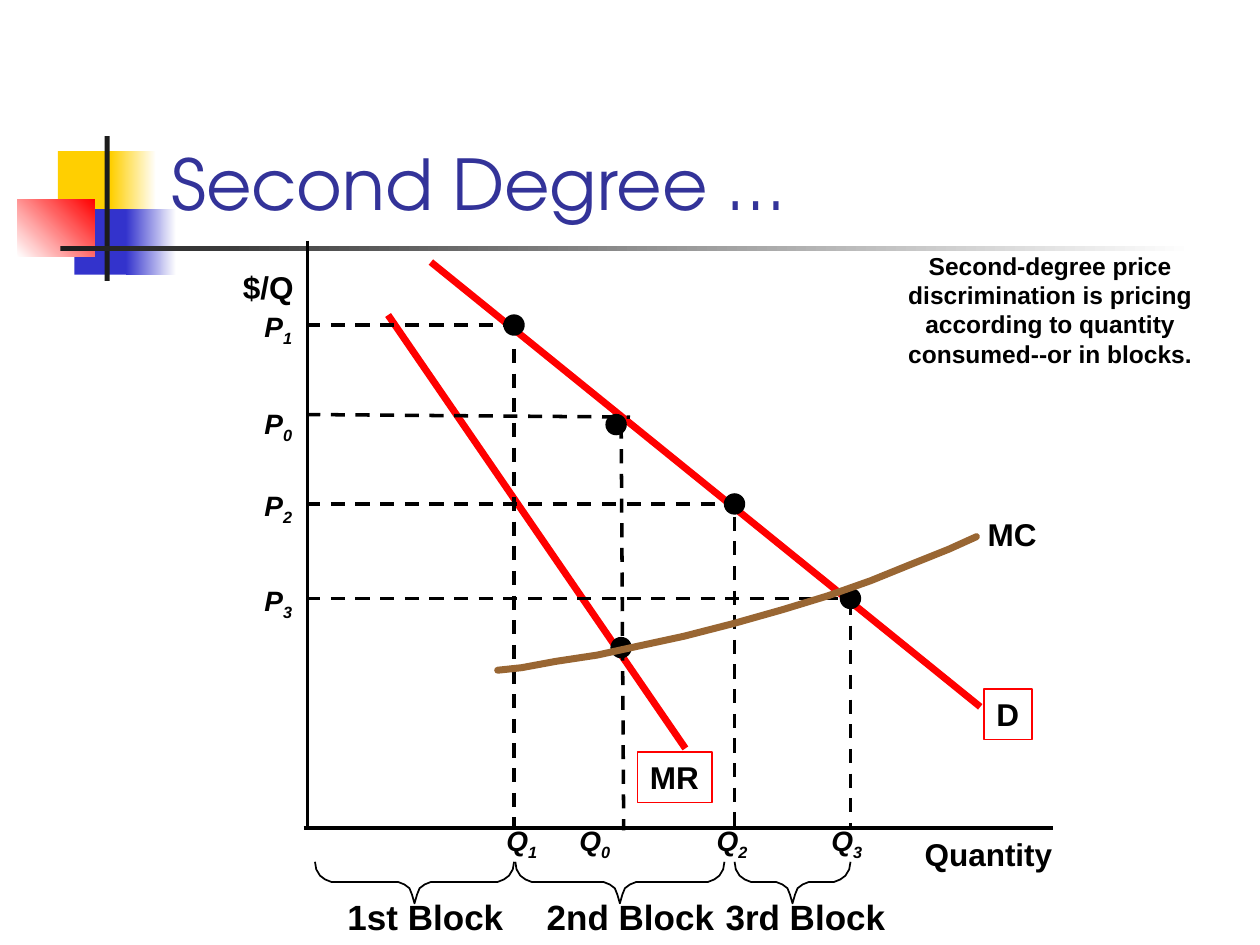
import pptx
import pptx.util
import pptx.dml.color
import pptx.enum.dml
import pptx.enum.shapes
import pptx.enum.text
import pptx.oxml
import pptx.oxml.ns

Inches, Pt = pptx.util.Inches, pptx.util.Pt
RGBColor = pptx.dml.color.RGBColor
SHAPE = pptx.enum.shapes.MSO_SHAPE
ALIGN = pptx.enum.text.PP_ALIGN
qn = pptx.oxml.ns.qn

BLACK = RGBColor(0x00, 0x00, 0x00)
WHITE = RGBColor(0xFF, 0xFF, 0xFF)
RED = RGBColor(0xFF, 0x00, 0x00)
BROWN = RGBColor(0x99, 0x66, 0x33)
YELLOW = RGBColor(0xFF, 0xCF, 0x01)
BLUE = RGBColor(0x33, 0x33, 0xCC)
DARK = RGBColor(0x1C, 0x1C, 0x1C)
TITLE_BLUE = RGBColor(0x33, 0x33, 0x99)

# Content, all lengths in inches
TITLE = "Second Degree …"
NOTE = ["Second-degree price", "discrimination is pricing",
        "according to quantity", "consumed--or in blocks."]
# left, top, width, height, start colour, end colour, gradient angle
DECORATION = [
    (0.46, 1.2, 0.48, 0.52, YELLOW, None, 0),
    (0.88, 1.2, 0.36, 0.52, YELLOW, WHITE, 0),
    (0.59, 1.66, 0.46, 0.52, BLUE, None, 0),
    (1, 1.66, 0.4, 0.52, BLUE, WHITE, 0),
    (0.14, 1.58, 0.61, 0.46, WHITE, RED, 45),
    (0.83, 1.08, 0.04, 1.15, DARK, None, 0),
    (0.48, 1.95, 9, 0.04, DARK, WHITE, 0),
]
AXES = [(2.44, 1.91, 2.44, 6.58), (2.41, 6.57, 8.36, 6.57)]
CURVES = [(3.42, 2.08, 7.78, 5.61), (3.08, 2.5, 5.44, 5.94)]
GUIDES = [
    (2.43, 2.58, 4.15, 2.58), (4.08, 2.77, 4.08, 6.57),
    (2.43, 3.29, 5, 3.31), (4.93, 3.37, 4.95, 6.59),
    (2.43, 4, 5.82, 4), (5.83, 4.1, 5.83, 6.57),
    (2.43, 4.75, 6.65, 4.75), (6.75, 4.77, 6.75, 6.57),
]
DOT_SIZE = 0.17
DOT_CENTRES = [(4.08, 2.58), (4.89, 3.37), (5.83, 4), (6.75, 4.75), (4.93, 5.14)]
PRICE_TOPS = {"1": 2.41, "0": 3.18, "2": 3.83, "3": 4.58}
QUANTITY_LEFTS = {"1": 3.92, "0": 4.5, "2": 5.59, "3": 6.5}
# text, left, top, width
CURVE_LABELS = [("D", 7.81, 5.47, 0.38), ("MR", 5.06, 5.97, 0.59)]
PLAIN_LABELS = [("Quantity", 7.24, 6.58, 1.26), ("$/Q", 1.83, 2.08, 0.62),
                ("MC", 7.74, 4.04, 0.61)]
# text, text left, text width, brace left, brace right
BLOCKS = [("1st Block", 2.66, 1.46, 2.5, 4.08),
          ("2nd Block", 4.24, 1.55, 4.09, 5.75),
          ("3rd Block", 5.66, 1.49, 5.83, 6.75)]
BRACE_TOP = 6.82
BRACE_END = [(0, 0.02), (0.01, 0.08), (0.04, 0.13), (0.08, 0.16), (0.13, 0.18)]
BRACE_TIP = [(-0.13, 0.18), (-0.08, 0.2), (-0.04, 0.23), (-0.02, 0.28), (0, 0.35)]
MC_CURVE = [(3.95, 5.32), (4.14, 5.3), (4.41, 5.25), (4.74, 5.2), (5.06, 5.13),
            (5.43, 5.05), (5.82, 4.95), (6.21, 4.84), (6.57, 4.73), (6.91, 4.61),
            (7.23, 4.48), (7.53, 4.36), (7.75, 4.26)]

deck = pptx.Presentation()
deck.slide_width, deck.slide_height = Inches(10), Inches(7.5)
page = deck.slides.add_slide(deck.slide_layouts[5])


def add_block(kind, left, top, width, height, colour, end_colour=None, angle=0):
    shape = page.shapes.add_shape(kind, *map(Inches, (left, top, width, height)))
    shape.shadow.inherit = False
    shape.line.fill.background()
    if end_colour is None:
        shape.fill.solid()
        shape.fill.fore_color.rgb = colour
    else:
        shape.fill.gradient()
        shape.fill.gradient_angle = angle
        for stop, stop_colour in zip(shape.fill.gradient_stops, (colour, end_colour)):
            stop.color.rgb = stop_colour


def add_line(ends, colour, width, dashed=False):
    line = page.shapes.add_connector(pptx.enum.shapes.MSO_CONNECTOR.STRAIGHT,
                                     *map(Inches, ends))
    line.line.color.rgb = colour
    line.line.width = Pt(width)
    if dashed:
        line.line.dash_style = pptx.enum.dml.MSO_LINE.DASH
    line.element.find(qn("p:spPr")).append(pptx.oxml.parse_xml(
        "<a:effectLst %s/>" % pptx.oxml.ns.nsdecls("a")))


def add_outline(points, colour, width):
    points = [(Inches(x), Inches(y)) for x, y in points]
    builder = page.shapes.build_freeform(*points[0])
    builder.add_line_segments(points[1:], close=False)
    shape = builder.convert_to_shape()
    shape.shadow.inherit = False
    shape.fill.background()
    shape.line.color.rgb = colour
    shape.line.width = Pt(width)
    return shape


def add_label(lines, left, top, width, height=0.4, size=18, italic=False,
              wrap=False, align=ALIGN.LEFT):
    box = page.shapes.add_textbox(*map(Inches, (left, top, width, height)))
    frame = box.text_frame
    frame.word_wrap = wrap
    frame.auto_size = pptx.enum.text.MSO_AUTO_SIZE.SHAPE_TO_FIT_TEXT
    for index, text in enumerate(lines):
        para = frame.add_paragraph() if index else frame.paragraphs[0]
        para.alignment = align
        para.font.name = "Arial"
        para.font.size = Pt(size)
        para.font.bold = True
        para.font.italic = italic
        para.font.color.rgb = BLACK
        para.add_run().text = text
    return box


def add_symbol(letter, digit, left, top):
    box = add_label([letter], left, top, 0.5, size=16, italic=True)
    box.text_frame.paragraphs[0].add_run().text = digit
    subscript = box.element.findall(".//" + qn("a:r"))[-1]
    subscript.get_or_add_rPr().set("baseline", "-25000")


# Background decoration
for left, top, width, height, colour, end_colour, angle in DECORATION:
    add_block(SHAPE.RECTANGLE, left, top, width, height, colour, end_colour, angle)

# Axes, demand and marginal revenue, dashed guides
for ends in AXES:
    add_line(ends, BLACK, 2)
for ends in CURVES:
    add_line(ends, RED, 4)
for ends in GUIDES:
    add_line(ends, BLACK, 2, dashed=True)
for x, y in DOT_CENTRES:
    add_block(SHAPE.OVAL, x - DOT_SIZE / 2, y - DOT_SIZE / 2, DOT_SIZE, DOT_SIZE, BLACK)

# Marginal cost, with round ends
marginal_cost = add_outline(MC_CURVE, BROWN, 4)
marginal_cost.element.find(".//" + qn("a:ln")).set("cap", "rnd")

# Labels
for text, left, top, width in PLAIN_LABELS:
    add_label([text], left, top, width)
for text, left, top, width in CURVE_LABELS:
    box = add_label([text], left, top, width)
    box.line.color.rgb = RED
    box.line.width = Pt(1)
for digit, top in PRICE_TOPS.items():
    add_symbol("P", digit, 2, top)
for digit, left in QUANTITY_LEFTS.items():
    add_symbol("Q", digit, left, 6.49)
add_label(NOTE, 7.08, 1.94, 2.51, 1.04, size=14, wrap=True, align=ALIGN.CENTER)

# Braces under the quantity axis
for text, left, width, start, end in BLOCKS:
    middle = (start + end) / 2
    half = [(start + x, BRACE_TOP + y) for x, y in BRACE_END]
    half += [(middle + x, BRACE_TOP + y) for x, y in BRACE_TIP]
    mirrored = [(start + end - x, y) for x, y in reversed(half[:-1])]
    add_outline(half + mirrored, BLACK, 1)
    add_label([text], left, 7.06, width, 0.43, size=20)

# Title, in front of the decoration
title = page.shapes.title
title.left, title.top, title.width, title.height = map(Inches, (1.26, 0.23, 8.52, 1.6))
title.text_frame.text = TITLE
title.text_frame.vertical_anchor = pptx.enum.text.MSO_ANCHOR.BOTTOM
para = title.text_frame.paragraphs[0]
para.alignment = ALIGN.LEFT
para.font.name = "TeX Gyre Adventor"
para.font.size = Pt(40)
para.font.color.rgb = TITLE_BLUE
title.element.getparent().append(title.element)

deck.save("out.pptx")
